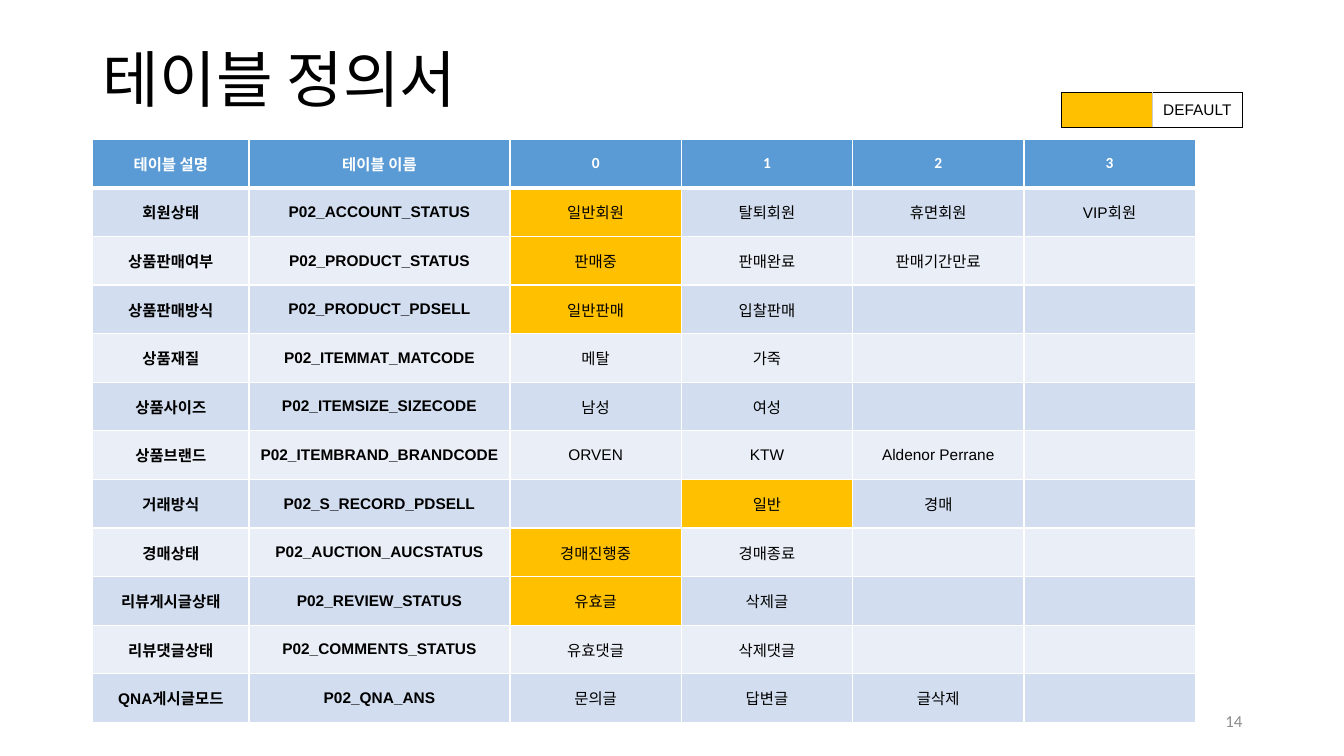
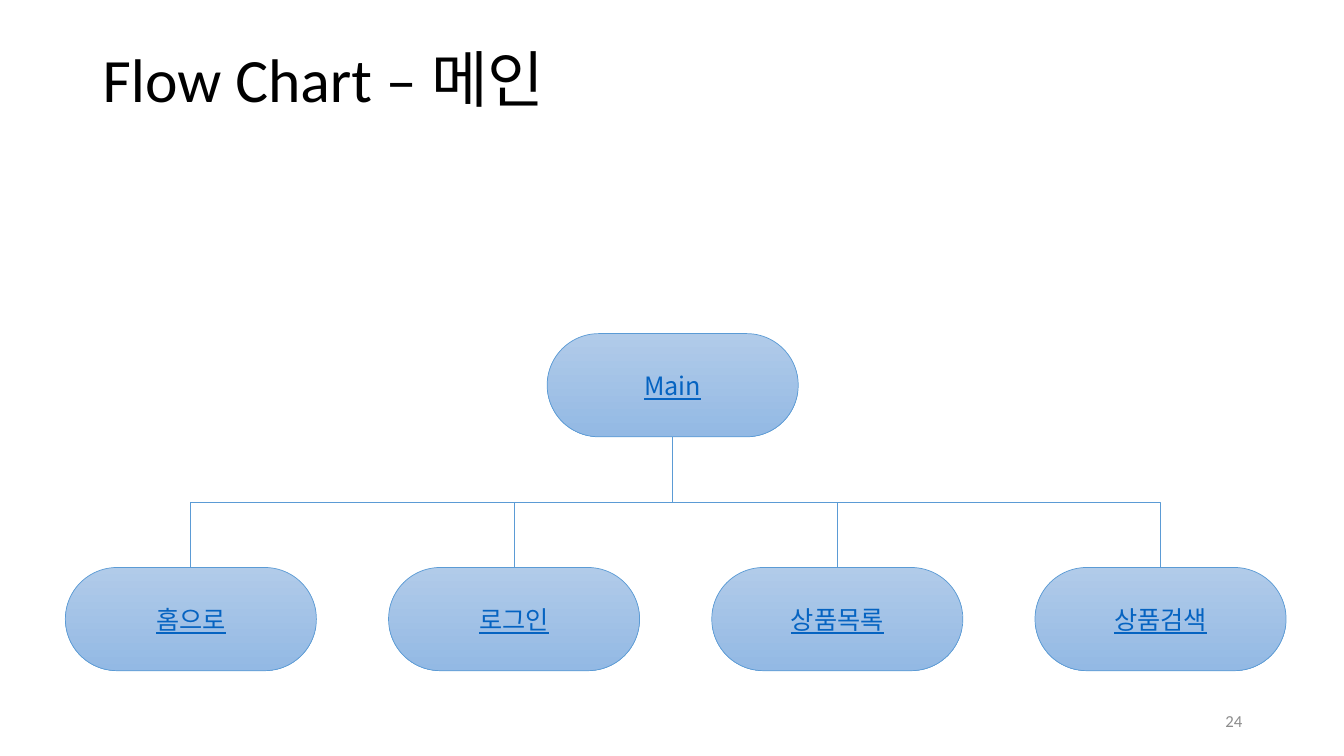
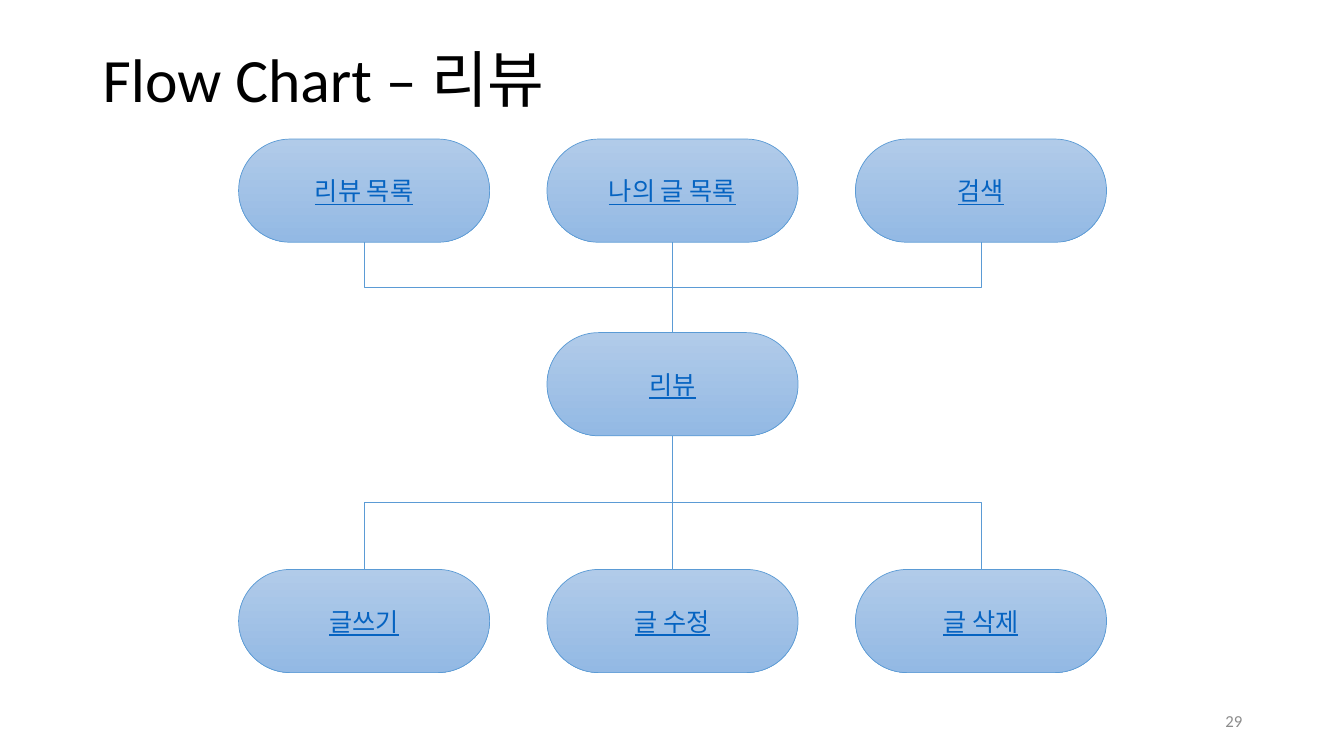
import dataclasses

import lxml.etree
import pptx
import pptx.dml.color
import pptx.enum.dml
import pptx.enum.shapes
import pptx.enum.text
import pptx.oxml.ns
import pptx.util

ALIGN = pptx.enum.text.PP_ALIGN
MIDDLE = pptx.enum.text.MSO_ANCHOR.MIDDLE
CONNECTOR = pptx.enum.shapes.MSO_CONNECTOR
TOP, BOTTOM = 0, 2


@dataclasses.dataclass(frozen=True)
class Theme:
    width: float = 13.33
    height: float = 7.5
    latin: str = "Calibri"
    body: str = "Arial"
    korean: str = "Noto Sans CJK KR"
    black: str = "000000"
    white: str = "FFFFFF"
    page_grey: str = "8C8C8C"
    divider: str = "CCCCCC"
    blue: str = "5B9BD5"
    bands: tuple = ("D2DEEF", "EAEFF7")
    default_mark: str = "FFC000"
    node_top: str = "B1CBE9"
    node_bottom: str = "93B9E4"
    link: str = "0563C1"
    title_size: int = 44
    node_size: int = 18
    page_size: int = 12
    cell_size: int = 11
    hairline: float = 0.5


def rgb(value):
    return pptx.dml.color.RGBColor.from_string(value)


class Deck:
    """Holds the style and the current slide; lengths are percent of the slide."""

    NODE_W, NODE_H = 18.68, 13.65

    def __init__(self, theme):
        self.theme = theme
        self.prs = pptx.Presentation()
        self.prs.slide_width = pptx.util.Inches(theme.width)
        self.prs.slide_height = pptx.util.Inches(theme.height)
        self.slide = None

    def x(self, share):
        return round(self.prs.slide_width * share / 100)

    def y(self, share):
        return round(self.prs.slide_height * share / 100)

    def box(self, left, top, width, height):
        return self.x(left), self.y(top), self.x(width), self.y(height)

    def put_text(self, frame, text, color, align=ALIGN.LEFT, **font_format):
        paragraph = frame.paragraphs[0]
        paragraph.alignment = align
        run = paragraph.add_run()
        run.text = text
        for key, value in font_format.items():
            setattr(run.font, key, value)
        run.font.color.rgb = rgb(color)
        east_asian = lxml.etree.SubElement(
            run._r.get_or_add_rPr(), pptx.oxml.ns.qn("a:ea"))
        east_asian.set("typeface", self.theme.korean)
        return paragraph

    def text(self, area, text, color, size, align=ALIGN.LEFT):
        frame = self.slide.shapes.add_textbox(*self.box(*area)).text_frame
        frame.word_wrap = True
        frame.vertical_anchor = MIDDLE
        return self.put_text(frame, text, color, align, name=self.theme.latin,
                             size=pptx.util.Pt(size))

    def new_slide(self, title, page):
        t = self.theme
        self.slide = self.prs.slides.add_slide(self.prs.slide_layouts[6])
        heading = self.text((6.9, 5.33, 86.25, 11.2), title, t.black, t.title_size)
        heading.line_spacing = 0.9
        self.text((70.67, 92.67, 22.5, 5.33), str(page), t.page_grey,
                  t.page_size, ALIGN.RIGHT)

    # Tables
    def table(self, left, top, widths, height, row_count):
        area = self.box(left, top, sum(widths), height)
        table = self.slide.shapes.add_table(row_count, len(widths), *area).table
        table.first_row = table.horz_banding = False
        for column, width in zip(table.columns, widths):
            column.width = self.x(width)
        for row in table.rows:
            row.height = self.y(height / row_count)
        return table

    def cell(self, cell, text, fill, borders, color, **font_format):
        side, edge = pptx.util.Inches(0.03), pptx.util.Inches(0.02)
        layout = dict(vertical_anchor=MIDDLE, margin_left=side, margin_right=side,
                      margin_top=edge, margin_bottom=edge)
        for key, value in layout.items():
            setattr(cell, key, value)
        self.borders(cell, borders)
        if fill:
            cell.fill.solid()
            cell.fill.fore_color.rgb = rgb(fill)
        else:
            cell.fill.background()
        if text:
            self.put_text(cell.text_frame, text, color, ALIGN.CENTER,
                          size=pptx.util.Pt(self.theme.cell_size), **font_format)

    def borders(self, cell, borders):
        qn = pptx.oxml.ns.qn
        properties = cell._tc.get_or_add_tcPr()
        for side in "LRTB":
            color, width = borders[side]
            line = lxml.etree.SubElement(properties, qn("a:ln" + side))
            line.set("w", str(pptx.util.Pt(width)))
            solid = lxml.etree.SubElement(line, qn("a:solidFill"))
            lxml.etree.SubElement(solid, qn("a:srgbClr")).set("val", color)

    # Flow charts
    def node(self, text, center, top):
        t = self.theme
        shape = self.slide.shapes.add_shape(
            pptx.enum.shapes.MSO_SHAPE.ROUNDED_RECTANGLE,
            *self.box(center - self.NODE_W / 2, top, self.NODE_W, self.NODE_H))
        shape.shadow.inherit = False
        shape.adjustments[0] = 0.5
        shape.fill.gradient()
        shape.fill.gradient_angle = 270
        for stop, color in zip(shape.fill.gradient_stops, (t.node_top, t.node_bottom)):
            stop.color.rgb = rgb(color)
        shape.line.color.rgb = rgb(t.blue)
        shape.line.width = pptx.util.Pt(t.hairline)
        shape.text_frame.vertical_anchor = MIDDLE
        self.put_text(shape.text_frame, text, t.link, ALIGN.CENTER, name=t.korean,
                      size=pptx.util.Pt(t.node_size), underline=True)
        return shape

    def node_row(self, labels, first, step, top):
        return [self.node(label, first + step * i, top)
                for i, label in enumerate(labels)]

    def link(self, start, end):
        """Joins two nodes, straight if they are in line, else with a bend."""
        upward = start.top > end.top
        x1, x2 = (node.left + node.width // 2 for node in (start, end))
        y1 = start.top if upward else start.top + start.height
        y2 = end.top + end.height if upward else end.top
        add = self.slide.shapes.add_connector
        if x1 == x2:
            line = add(CONNECTOR.STRAIGHT, x1, y1, x2, y2)
            line.begin_connect(start, TOP if upward else BOTTOM)
            line.end_connect(end, BOTTOM if upward else TOP)
        else:
            # A quarter turn makes the bend leave the node vertically
            mid_x, mid_y = (x1 + x2) // 2, (y1 + y2) // 2
            half_w, half_h = (x1 - x2) // 2, (y1 - y2) // 2
            line = add(CONNECTOR.ELBOW, mid_x + half_h, mid_y - half_w,
                       mid_x - half_h, mid_y + half_w)
            line.rotation = 90
        line.line.color.rgb = rgb(self.theme.blue)
        line.line.width = pptx.util.Pt(self.theme.hairline)
        lxml.etree.SubElement(line._element.spPr, pptx.oxml.ns.qn("a:effectLst"))


# Status codes: description, table name, labels of codes 0 to 3
HEADER = ("테이블 설명", "테이블 이름", "0", "1", "2", "3")
CODES = (
    ("회원상태", "P02_ACCOUNT_STATUS", "일반회원", "탈퇴회원", "휴면회원", "VIP회원"),
    ("상품판매여부", "P02_PRODUCT_STATUS", "판매중", "판매완료", "판매기간만료", ""),
    ("상품판매방식", "P02_PRODUCT_PDSELL", "일반판매", "입찰판매", "", ""),
    ("상품재질", "P02_ITEMMAT_MATCODE", "메탈", "가죽", "", ""),
    ("상품사이즈", "P02_ITEMSIZE_SIZECODE", "남성", "여성", "", ""),
    ("상품브랜드", "P02_ITEMBRAND_BRANDCODE", "ORVEN", "KTW", "Aldenor Perrane", ""),
    ("거래방식", "P02_S_RECORD_PDSELL", "", "일반", "경매", ""),
    ("경매상태", "P02_AUCTION_AUCSTATUS", "경매진행중", "경매종료", "", ""),
    ("리뷰게시글상태", "P02_REVIEW_STATUS", "유효글", "삭제글", "", ""),
    ("리뷰댓글상태", "P02_COMMENTS_STATUS", "유효댓글", "삭제댓글", "", ""),
    ("QNA게시글모드", "P02_QNA_ANS", "문의글", "답변글", "글삭제", ""),
)
DEFAULTS = {"일반회원", "판매중", "일반판매", "일반", "경매진행중", "유효글"}


def table_slide(deck):
    t = deck.theme
    deck.new_slide("테이블 정의서", 14)

    # Code table
    widths = [11.63, 19.42] + [12.75] * 4
    codes = deck.table(6.9, 18.4, widths, 77.2, len(CODES) + 1)
    grid = dict.fromkeys("LRTB", (t.white, 1))
    thick = (t.white, 3)
    for column, text in enumerate(HEADER):
        deck.cell(codes.cell(0, column), text, t.blue, {**grid, "B": thick},
                  t.white, name=t.latin, bold=True)
    for row, record in enumerate(CODES, 1):
        borders = {**grid, "T": thick} if row == 1 else grid
        for column, text in enumerate(record):
            fill = t.default_mark if text in DEFAULTS else t.bands[(row - 1) % 2]
            deck.cell(codes.cell(row, column), text, fill, borders,
                      t.black, name=t.body, bold=column < 2)

    # Legend
    legend = deck.table(79, 12.27, (6.75, 6.68), 4.53, 1)
    outline = dict.fromkeys("LRTB", (t.black, 0.75))
    inner = (t.divider, 0.75)
    deck.cell(legend.cell(0, 0), "", t.default_mark, {**outline, "R": inner}, t.black)
    deck.cell(legend.cell(0, 1), "DEFAULT", None, {**outline, "L": inner},
              t.black, name=t.body)


def main_flow_slide(deck):
    deck.new_slide("Flow Chart – 메인", 24)
    home = deck.node("Main", 50.05, 44.13)
    pages = ("홈으로", "로그인", "상품목록", "상품검색")
    for page in deck.node_row(pages, 14.2, 24.05, 75.07):
        deck.link(page, home)


def review_flow_slide(deck):
    deck.new_slide("Flow Chart – 리뷰", 29)
    center, step = 50.04, 22.95
    review = deck.node("리뷰", center, 44)
    rows = ((("리뷰 목록", "나의 글 목록", "검색"), 18.4),
            (("글쓰기", "글 수정", "글 삭제"), 75.33))
    for labels, top in rows:
        for page in deck.node_row(labels, center - step, step, top):
            deck.link(page, review)


def main():
    deck = Deck(Theme())
    table_slide(deck)
    main_flow_slide(deck)
    review_flow_slide(deck)
    deck.prs.save("out.pptx")


if __name__ == "__main__":
    main()
